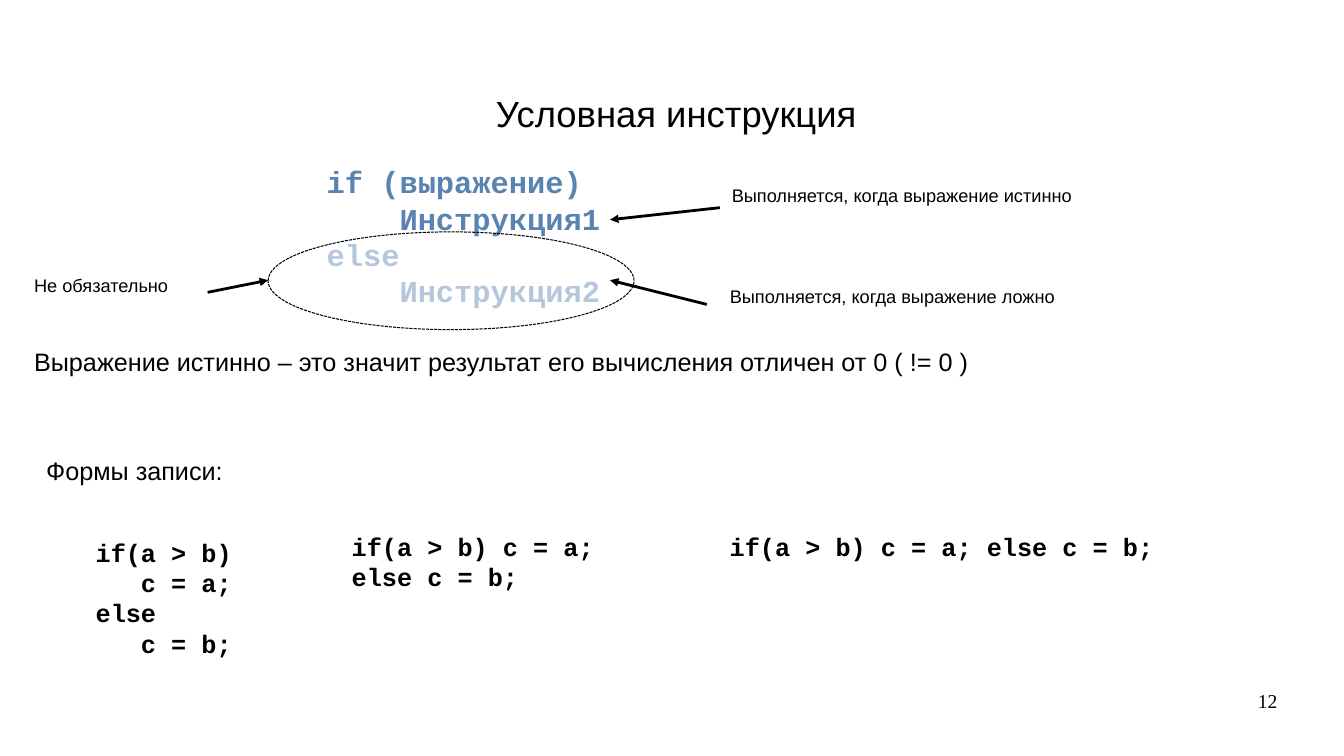
from dataclasses import dataclass

from lxml import etree
from pptx import Presentation
from pptx.dml.color import RGBColor
from pptx.enum.dml import MSO_LINE
from pptx.enum.shapes import MSO_CONNECTOR, MSO_SHAPE
from pptx.enum.text import MSO_ANCHOR, PP_ALIGN
from pptx.oxml.ns import qn
from pptx.util import Inches, Pt

LEFT, CENTER, RIGHT = PP_ALIGN.LEFT, PP_ALIGN.CENTER, PP_ALIGN.RIGHT
TOP = MSO_ANCHOR.TOP
STRAIGHT, OVAL = MSO_CONNECTOR.STRAIGHT, MSO_SHAPE.OVAL
DOTTED = MSO_LINE.SQUARE_DOT


@dataclass(frozen=True)
class Style:
    font: str
    size: float
    color: str = "000000"
    bold: bool = False
    align: PP_ALIGN = LEFT


class Theme:
    ink = "000000"
    optional = "B4C7DC"
    title = Style("Arial", 26, align=CENTER)
    body = Style("Arial", 18)
    note = Style("Arial", 13)
    syntax = Style("Courier New", 21.7, "5983B0", bold=True)
    code = Style("Courier New", 18, bold=True)
    number = Style("Times New Roman", 14, align=RIGHT)


# Content: places are percentages of the slide's width and height
MARGIN, INNER, RIGHT_COLUMN = 1.8, 2.7, 53.56
ARROW_TIP = 45.39
OPTIONAL_MIDDLE = 37.07

TITLE = ("Условная инструкция", (INNER, 11.33, 95.27, 9.73))

SYNTAX = ["if (выражение)", "    Инструкция1", "else", "    Инструкция2"]
SYNTAX_PLACE = (23.56, 20.93, 25.43, 19.87)
OPTIONAL_FROM = SYNTAX.index("else")

TEXTS = [
    (["Выражение истинно – это значит результат его вычисления отличен от 0 ( != 0 )"],
     (MARGIN, 45.2, 96.17, 6.93), Theme.body),
    (["Формы записи:"], (INNER, 59.6, 96.17, 6.93), Theme.body),
    (["Выполняется, когда выражение истинно"], (53.71, 23.73, 32.48, 5.33), Theme.note),
    (["Выполняется, когда выражение ложно"], (RIGHT_COLUMN, 37.07, 34.5, 4.8), Theme.note),
    (["Не обязательно"], (MARGIN, 35.6, 16.35, 6.4), Theme.note),
    (["if(a > b)", "   c = a;", "else", "   c = b;"],
     (6.38, 70.4, 14.55, 19.87), Theme.code),
    (["if(a > b) c = a;", "else c = b;"], (25.43, 69.6, 23.56, 11.33), Theme.code),
    (["if(a > b) c = a; else c = b;"], (RIGHT_COLUMN, 69.6, 41.71, 11.33), Theme.code),
]
PAGE_NUMBER = (["12"], (71.72, 91.07, 23.33, 6.93), Theme.number)

OPTIONAL_OVAL = (19.95, 30.67, 27.23, 12.93)
ARROWS = [
    (RIGHT_COLUMN, 27.47, ARROW_TIP, 29.07),
    (52.59, 40.27, ARROW_TIP, OPTIONAL_MIDDLE),
    (15.45, 38.67, OPTIONAL_OVAL[0], OPTIONAL_MIDDLE),
]

# Deck and title-only page
deck = Presentation()
deck.slide_width, deck.slide_height = Inches(13.33), Inches(7.5)
page = deck.slides.add_slide(deck.slide_layouts[5])


def to_slide(place):
    """Turn alternating width and height percentages into lengths."""
    sides = (deck.slide_width, deck.slide_height) * 2
    return [round(share * side / 100) for share, side in zip(place, sides)]


def format_paragraph(para, style):
    para.alignment = style.align
    para.font.name = style.font
    para.font.size = Pt(style.size)
    para.font.bold = style.bold
    para.font.color.rgb = RGBColor.from_string(style.color)


def fill_frame(frame, lines, style):
    frame.word_wrap = True
    frame.vertical_anchor = TOP
    frame.text = "\n".join(lines)
    for para in frame.paragraphs:
        format_paragraph(para, style)


def add_text(lines, place, style):
    frame = page.shapes.add_textbox(*to_slide(place)).text_frame
    fill_frame(frame, lines, style)
    return frame


def set_hairline(line):
    line.color.rgb = RGBColor.from_string(Theme.ink)
    line.width = Pt(0)


def add_arrow(place):
    arrow = page.shapes.add_connector(STRAIGHT, *to_slide(place))
    set_hairline(arrow.line)
    properties = arrow.element.spPr
    etree.SubElement(properties.find(qn("a:ln")), qn("a:tailEnd"), type="triangle")
    etree.SubElement(properties, qn("a:effectLst"))


# Title
title = page.shapes.title
title.left, title.top, title.width, title.height = to_slide(TITLE[1])
fill_frame(title.text_frame, [TITLE[0]], Theme.title)

# Syntax with its paler optional branch
syntax = add_text(SYNTAX, SYNTAX_PLACE, Theme.syntax)
for para in syntax.paragraphs[OPTIONAL_FROM:]:
    para.font.color.rgb = RGBColor.from_string(Theme.optional)

# Explanations and code forms
for text in TEXTS:
    add_text(*text)

# Oval around the optional branch
oval = page.shapes.add_shape(OVAL, *to_slide(OPTIONAL_OVAL))
oval.shadow.inherit = False
oval.fill.background()
set_hairline(oval.line)
oval.line.dash_style = DOTTED

# Arrows from the notes
for place in ARROWS:
    add_arrow(place)

# Page number
number = add_text(*PAGE_NUMBER)
number.margin_left = number.margin_right = number.margin_top = number.margin_bottom = 0

deck.save("out.pptx")
